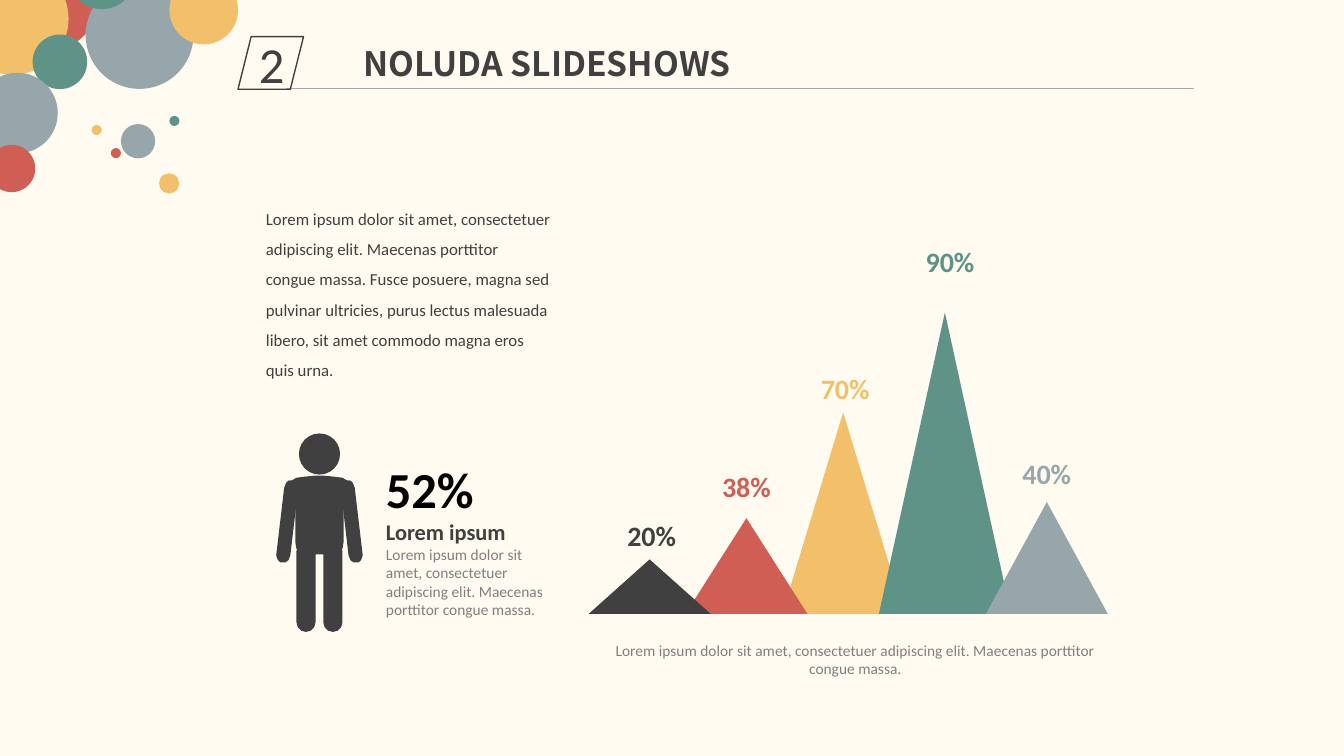
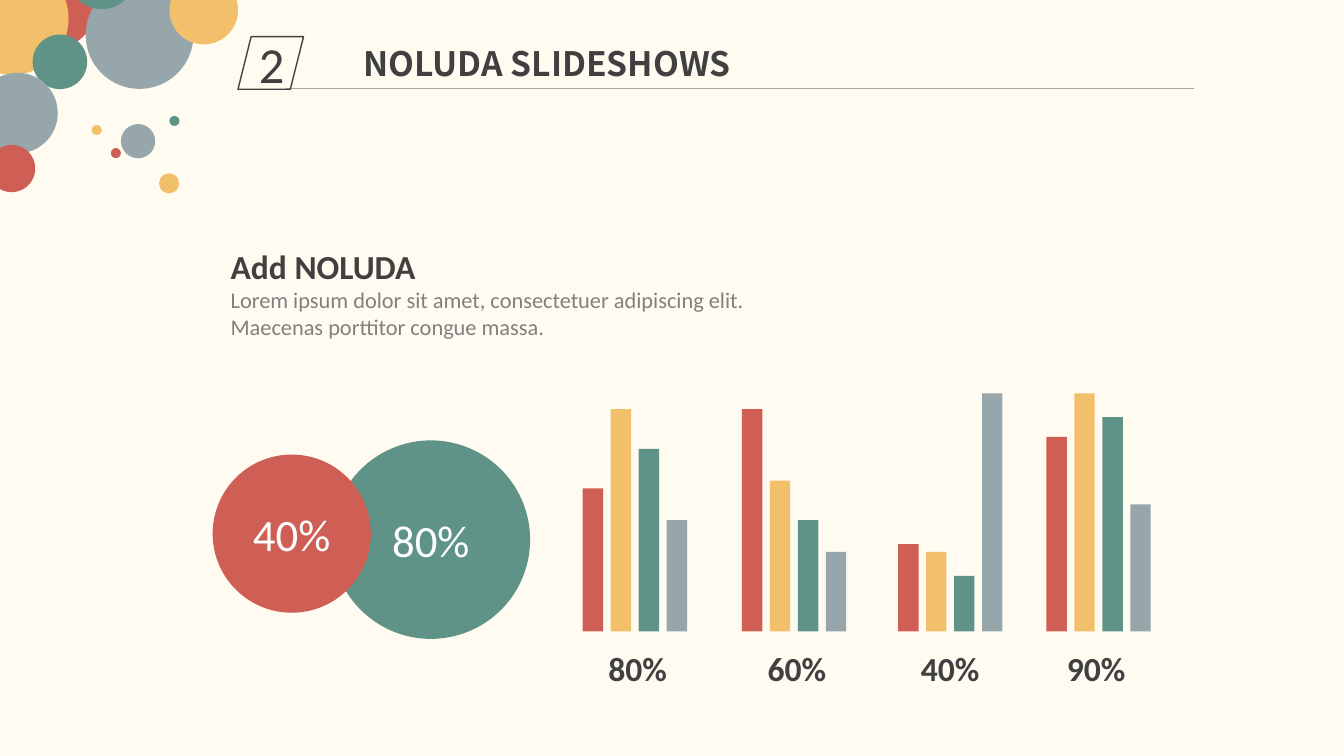
import pptx
import pptx.util
import pptx.dml.color
import pptx.enum.shapes
import pptx.enum.text
import pptx.oxml

Pt = pptx.util.Pt
KIND = pptx.enum.shapes.MSO_SHAPE
ALIGN = pptx.enum.text.PP_ALIGN
HUES = {
    "paper": "FFFBF0", "ink": "404040", "black": "000000", "white": "FFFFFF",
    "gray": "808080", "rule": "A6A6A6", "red": "CF5F55", "gold": "F2C06B",
    "green": "5F9387", "steel": "97A6AB",
}
SERIES = ("red", "gold", "green", "steel")
LOREM = "Lorem ipsum dolor sit amet, consectetuer adipiscing elit. Maecenas porttitor congue massa."
DOTS = (
    (2.9, -31.7, 67, "red"), (-31, -26.6, 80, "gold"), (23.3, 24.7, 39, "green"),
    (-16.3, 52, 57.6, "steel"), (61.2, -13.5, 77, "steel"), (48.2, -42.5, 49, "green"),
    (-8.6, 103.5, 33.8, "red"), (86.4, 88.6, 24.5, "steel"), (79.2, 105.8, 7.2, "red"),
    (65.5, 89.3, 7.2, "gold"), (121, 82.8, 7.2, "green"), (113.6, 123.8, 14.4, "gold"),
    (121, -17.3, 49, "gold"),
)
ARM = (
    (207.4, 396.7), (206.6, 398.9), (205.9, 400.3), (203.8, 401.8),
    (200.2, 401.8), (198.7, 400.3), (198, 398.9), (197.3, 396.7),
    (203, 348.5), (203.8, 346.3), (204.5, 344.9), (206.6, 343.4),
    (209.5, 343.4), (211.7, 344.9), (212.4, 346.3), (213.1, 348.5),
)
FLANK = (
    (224.6, 339.8), (216.7, 340.6), (211.7, 341.3), (208.1, 343.4),
    (205.9, 343.4), (204.5, 344.9), (203.8, 347.8), (205.9, 350.6),
    (211, 354.2), (211, 387.4), (211.7, 391.7), (213.8, 393.8),
    (217.4, 395.3), (224.6, 396),
)
AXIS = 228.2
PEAKS = (
    (558.7, 87.1, 144, "gold", "70%", 603.7, 262),
    (489.6, 87.1, 68.4, "red", "38%", 533.2, 332),
    (420.5, 87.1, 38.9, "ink", "20%", 465.5, 366.5),
    (627.8, 94.3, 215.3, "green", "90%", 678.6, 171.4),
    (704.2, 87.1, 79.9, "steel", "40%", 747.7, 322.6),
)
FLOOR = 438.5
GROUPS = (
    (416.2, 455.4, "80%", (18, 28, 23, 14)),
    (529.9, 569.2, "60%", (28, 19, 14, 10)),
    (641.5, 678.6, "40%", (11, 10, 7, 30)),
    (747.4, 783, "90%", (24.5, 30, 27, 16)),
)
BASE, UNIT, STEP, THICK = 451, 5.67, 20, 14.6


def tint(name):
    return pptx.dml.color.RGBColor.from_string(HUES[name])


def paint(shape, hue):
    shape.shadow.inherit = False
    shape.fill.solid()
    shape.fill.fore_color.rgb = tint(hue)
    shape.line.fill.background()
    return shape


def draw(shapes, kind, left, top, width, height, hue):
    return paint(shapes.add_shape(kind, Pt(left), Pt(top), Pt(width), Pt(height)), hue)


def trace(shapes, points, hue):
    begin, *rest = [(Pt(x), Pt(y)) for x, y in points]
    pen = shapes.build_freeform(*begin)
    pen.add_line_segments(rest, close=True)
    return paint(pen.convert_to_shape(), hue)


def write(frame, lines, align=ALIGN.LEFT, font="Calibri", space=None):
    frame.text = "\n".join(line[0] for line in lines)
    for para, (words, size, hue, bold) in zip(frame.paragraphs, lines):
        para.alignment = align
        if space:
            para.line_spacing = space
        for run in para.runs:
            run.font.name = font
            run.font.size = Pt(size)
            run.font.bold = bold
            run.font.color.rgb = tint(hue)


def note(slide, left, top, width, height, lines, wrap=True, **style):
    box = slide.shapes.add_textbox(Pt(left), Pt(top), Pt(width), Pt(height))
    box.text_frame.word_wrap = wrap
    box.text_frame.auto_size = pptx.enum.text.MSO_AUTO_SIZE.SHAPE_TO_FIT_TEXT
    write(box.text_frame, lines, **style)


def label(slide, mid, top, words, size, hue):
    width, height = size * 3, size * 1.5
    note(slide, mid - width / 2, top, width, height, [(words, size, hue, True)],
         wrap=False, align=ALIGN.CENTER)


def head(slide):
    group = slide.shapes.add_group_shape().shapes
    for left, top, size, hue in DOTS:
        draw(group, KIND.OVAL, left, top, size, size, hue)
    rule = slide.shapes.add_connector(
        pptx.enum.shapes.MSO_CONNECTOR.STRAIGHT, Pt(204.5), Pt(63.2), Pt(853.2), Pt(63.2))
    rule.line.color.rgb = tint("rule")
    rule.line.width = Pt(0.5)
    rule._element.spPr.append(pptx.oxml.parse_xml(
        '<a:effectLst xmlns:a="http://schemas.openxmlformats.org/drawingml/2006/main"/>'))
    badge = draw(slide.shapes, KIND.PARALLELOGRAM, 170, 26.2, 46.8, 37.6, "paper")
    badge.fill.background()
    badge.line.color.rgb = tint("ink")
    badge.line.width = Pt(1)
    write(badge.text_frame, [("2", 36, "ink", False)], align=ALIGN.CENTER)
    note(slide, 252.7, 27.4, 369.4, 36, [("NOLUDA SLIDESHOWS", 24, "ink", True)],
         font="Noto Sans CJK SC")


def start(deck):
    slide = deck.slides.add_slide(deck.slide_layouts[6])
    slide.background.fill.solid()
    slide.background.fill.fore_color.rgb = tint("paper")
    return slide


def flip(points):
    return [(2 * AXIS - x, y) for x, y in points]


def person(slide):
    group = slide.shapes.add_group_shape().shapes
    for points in (ARM, flip(ARM), [*FLANK, *reversed(flip(FLANK))]):
        trace(group, points, "ink")
    draw(group, KIND.OVAL, AXIS - 14.7, 309.6, 29.4, 29.4, "ink")
    for left in (211.8, 231):
        leg = draw(group, KIND.ROUNDED_RECTANGLE, left, 386.8, 13.6, 64.6, "ink")
        leg.adjustments[0] = 0.5


def peaks(slide):
    for left, width, height, hue, words, mid, top in PEAKS:
        draw(slide.shapes, KIND.ISOSCELES_TRIANGLE, left, FLOOR - height, width, height, hue)
        label(slide, mid, top, words, 20, hue)


def bars(slide):
    for left, mid, words, values in GROUPS:
        for place, (value, hue) in enumerate(zip(values, SERIES)):
            height = value * UNIT
            draw(slide.shapes, KIND.RECTANGLE, left + place * STEP, BASE - height,
                 THICK, height, hue)
        label(slide, mid, 459.4, words, 24, "ink")


def disc(slide, left, top, size, hue, words):
    shape = draw(slide.shapes, KIND.OVAL, left, top, size, size, hue)
    write(shape.text_frame, [(words, 32, "white", False)], align=ALIGN.CENTER)


def first(deck):
    slide = start(deck)
    person(slide)
    note(slide, 182.9, 138.2, 218.2, 138.2, [(
        LOREM + " Fusce posuere, magna sed pulvinar ultricies, purus lectus malesuada"
        " libero, sit amet commodo magna eros quis urna.", 12, "ink", False)], space=1.5)
    note(slide, 268.6, 324, 77.8, 51, [("52%", 36, "black", True)], wrap=False)
    note(slide, 268.6, 366.5, 137.5, 80,
         [("Lorem ipsum", 16, "ink", True), (LOREM, 11, "gray", False)])
    peaks(slide)
    note(slide, 431.3, 454.3, 359.3, 33.8, [(LOREM, 11, "gray", False)], align=ALIGN.CENTER)
    head(slide)


def second(deck):
    slide = start(deck)
    disc(slide, 236.9, 314.6, 141.8, "green", "80%")
    disc(slide, 151.9, 324.7, 113, "red", "40%")
    bars(slide)
    note(slide, 157.7, 172.1, 396, 75,
         [("Add NOLUDA", 24, "ink", True), (LOREM, 16, "gray", False)])
    head(slide)


def main():
    deck = pptx.Presentation()
    deck.slide_width, deck.slide_height = Pt(960), Pt(540)
    first(deck)
    second(deck)
    deck.save("out.pptx")


if __name__ == "__main__":
    main()
